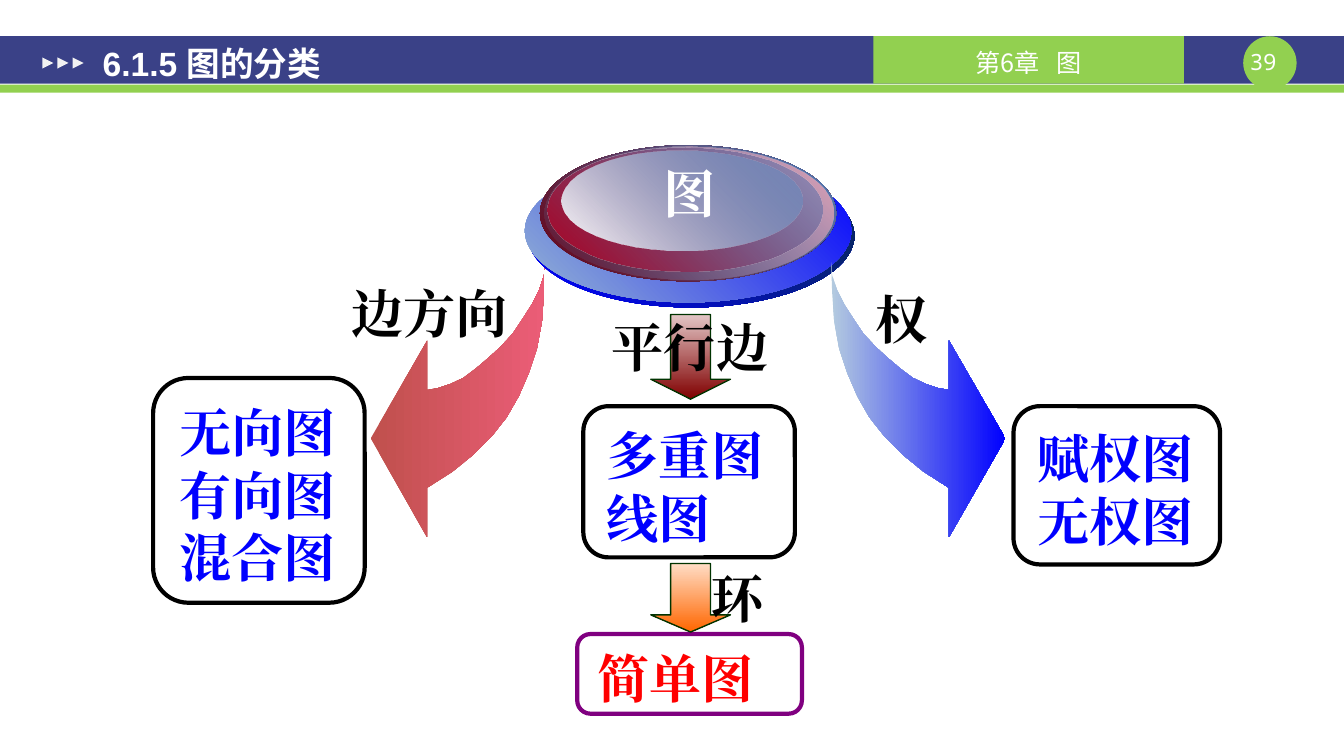
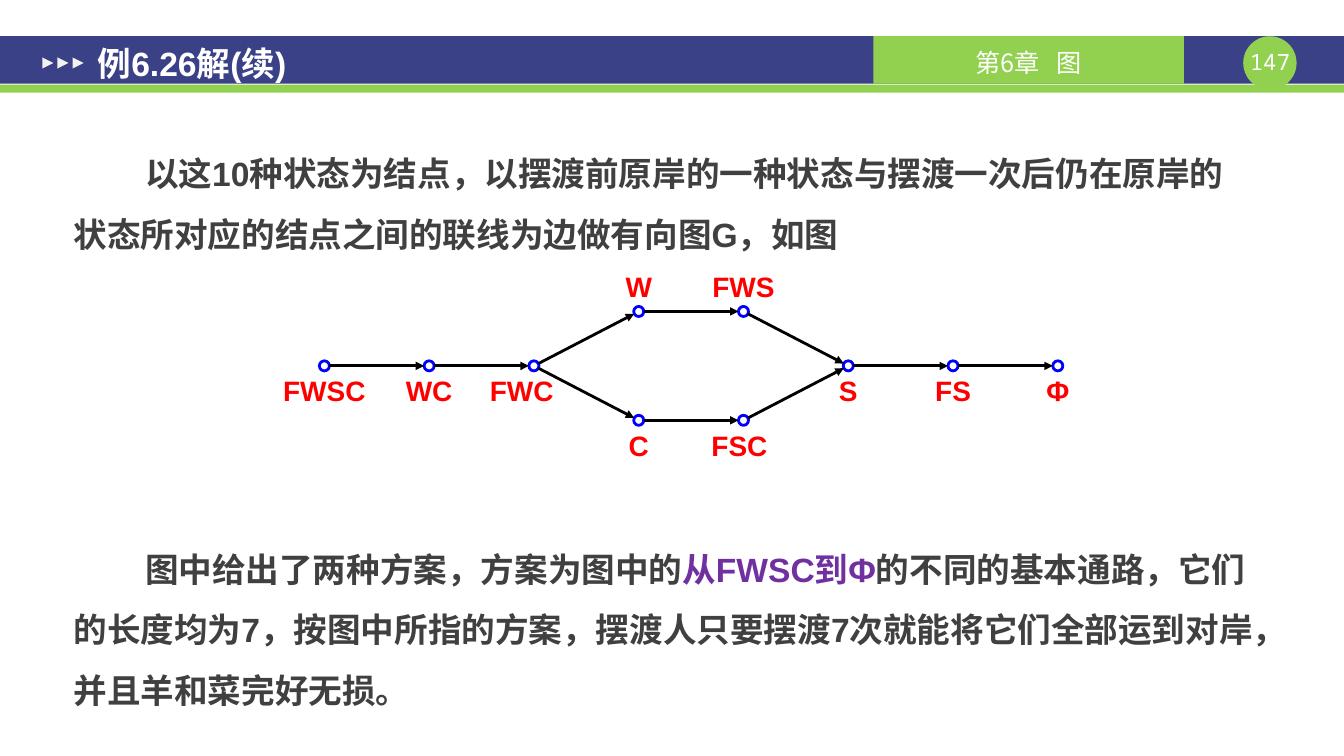
from dataclasses import dataclass
from math import hypot

from lxml import etree
from pptx import Presentation
from pptx.dml.color import RGBColor
from pptx.enum import shapes, text
from pptx.oxml import ns
from pptx.util import Inches, Pt

NAVY = RGBColor(0x3A, 0x41, 0x87)
GREEN = RGBColor(0x92, 0xD0, 0x50)
PALE = RGBColor(0xF2, 0xF2, 0xF2)
WHITE = RGBColor(0xFF, 0xFF, 0xFF)
BLACK = RGBColor(0, 0, 0)
BLUE = RGBColor(0, 0, 0xFF)
RED = RGBColor(0xFF, 0, 0)
GRAY = RGBColor(0x40, 0x40, 0x40)
VIOLET = RGBColor(0x70, 0x30, 0xA0)
PURPLE = RGBColor(0x80, 0, 0x80)
DARK_GREEN = RGBColor(0, 0x33, 0)
STEEL = RGBColor(0x4F, 0x81, 0xBD)
MIST = RGBColor(0xB4, 0xCB, 0xDF)
SKY = RGBColor(0x96, 0xB6, 0xD2)
DEEP_BLUE = RGBColor(0x09, 0x2C, 0x4B)
WINE = RGBColor(0x67, 0, 0x13)
CRIMSON = RGBColor(0xB1, 0, 0x20)
PINK = RGBColor(0xF4, 0xA6, 0xB4)
ROSE = RGBColor(0xEB, 0x5D, 0x77)
BRICK = RGBColor(0xC0, 0x50, 0x4D)
MAROON = RGBColor(0x80, 0, 0)
DUSTY = RGBColor(0xE3, 0xC6, 0xC6)
ORANGE = RGBColor(0xFF, 0x66, 0)
PEACH = RGBColor(0xFF, 0xDD, 0xC6)

SHAPE = shapes.MSO_SHAPE
LEFT, CENTER = text.PP_ALIGN.LEFT, text.PP_ALIGN.CENTER
TOP, MIDDLE = text.MSO_ANCHOR.TOP, text.MSO_ANCHOR.MIDDLE
SERIF, SANS, MONO, CJK = "Times New Roman", "Arial", "Noto Sans Mono", "Noto Sans CJK SC"
BIG = 37.3
PADDED = (0.13, 0.07, 0.13, 0.07)
NORMAL = (0.1, 0.05, 0.1, 0.05)
FLUSH = (0, 0, 0, 0)

Box = tuple[float, float, float, float]


@dataclass(frozen=True)
class Gradient:
    start: RGBColor
    end: RGBColor
    angle: float = 0  # counter-clockwise
    start_alpha: int = 100
    end_alpha: int = 100


@dataclass(frozen=True)
class Card:
    box: Box
    lines: tuple[str, ...]
    color: RGBColor = BLUE
    border: RGBColor = BLACK


@dataclass(frozen=True)
class Node:
    label: str
    column: int
    row: int  # -1 upper branch, 0 main path, 1 lower branch
    shift: float = 0


# Drawing helpers
def paint(shape, fill=None, line=None, width: float = 1) -> None:
    shape.shadow.inherit = False
    if fill is None:
        shape.fill.background()
    elif isinstance(fill, Gradient):
        shape.fill.gradient()
        shape.fill.gradient_angle = fill.angle
        ends = ((0, fill.start, fill.start_alpha), (1, fill.end, fill.end_alpha))
        for stop, (position, color, alpha) in zip(shape.fill.gradient_stops, ends):
            stop.position, stop.color.rgb = position, color
            if alpha < 100:
                tint = shape._element.spPr.findall(".//" + ns.qn("a:srgbClr"))[-1 if position else 0]
                etree.SubElement(tint, ns.qn("a:alpha"), val=str(alpha * 1000))
    else:
        shape.fill.solid()
        shape.fill.fore_color.rgb = fill
    if line is None:
        shape.line.fill.background()
    else:
        shape.line.color.rgb, shape.line.width = line, Pt(width)


def add_shape(slide, kind, box: Box, fill=None, line=None, width: float = 1):
    shape = slide.shapes.add_shape(kind, *map(Inches, box))
    paint(shape, fill, line, width)
    return shape


def write(frame, paragraphs, *, size: float, font: str = SERIF, color: RGBColor = BLACK,
          bold: bool = True, align=CENTER, anchor=TOP, insets: Box = NORMAL, wrap: bool = True,
          spacing: float | None = None, before: tuple[float, ...] = (), indent: float = 0) -> None:
    """Fill a frame; a paragraph is a string or a list of (text, color) runs."""
    frame.word_wrap, frame.vertical_anchor = wrap, anchor
    (frame.margin_left, frame.margin_top,
     frame.margin_right, frame.margin_bottom) = map(Inches, insets)
    for i, content in enumerate(paragraphs):
        paragraph = frame.paragraphs[0] if i == 0 else frame.add_paragraph()
        paragraph.alignment = align
        if spacing:
            paragraph.line_spacing = spacing
        if before:
            paragraph.space_before = Pt(before[i])
        if indent:
            paragraph._p.get_or_add_pPr().set("indent", str(Inches(indent)))
        for words, tone in [(content, color)] if isinstance(content, str) else content:
            run = paragraph.add_run()
            run.text = words
            run.font.name, run.font.size, run.font.bold = font, Pt(size), bold
            run.font.color.rgb = tone
            etree.SubElement(run.font._element, ns.qn("a:ea"), typeface=font)


def add_text(slide, box: Box, *paragraphs, **style) -> None:
    write(slide.shapes.add_textbox(*map(Inches, box)).text_frame, paragraphs, **style)


def add_arrow(slide, start: tuple[float, float], end: tuple[float, float]) -> None:
    arrow = slide.shapes.add_connector(shapes.MSO_CONNECTOR.STRAIGHT, *map(Inches, start + end))
    arrow.line.color.rgb, arrow.line.width = BLACK, Pt(2)
    etree.SubElement(arrow.line._get_or_add_ln(), ns.qn("a:tailEnd"), type="triangle")
    etree.SubElement(arrow._element.spPr, ns.qn("a:effectLst"))


# Shared header
def add_header(prs, title: str, title_left: float, number: int):
    slide = prs.slides.add_slide(prs.slide_layouts[6])
    add_shape(slide, SHAPE.RECTANGLE, (0, 0.36, 13.34, 0.47), NAVY)
    add_shape(slide, SHAPE.RECTANGLE, (0, 0.84, 13.34, 0.08), GREEN)
    add_shape(slide, SHAPE.OVAL, (12.34, 0.36, 0.53, 0.53), GREEN)
    add_text(slide, (12.34, 0.48, 0.53, 0.27), f"{number} ", size=16, font=MONO,
             color=WHITE, bold=False, insets=FLUSH)
    chapter = add_shape(slide, SHAPE.RECTANGLE, (8.67, 0.36, 3.08, 0.47), GREEN)
    write(chapter.text_frame, ["第6章   图"], size=18, font=CJK, color=WHITE, bold=False,
          anchor=MIDDLE, insets=(0.1, 0.04, 0.1, 0))
    for i in range(3):
        marker = add_shape(slide, SHAPE.ISOSCELES_TRIANGLE, (0.42 + 0.15 * i, 0.57, 0.11, 0.11), PALE)
        marker.rotation = 90
    add_text(slide, (title_left, 0.12, 7.7, 1.01), title, size=24, font=SANS, color=WHITE,
             align=LEFT, anchor=MIDDLE, insets=PADDED)
    return slide


# Slide 1: kinds of graph
CARDS = (
    Card((1.52, 3.75, 2.1, 2.23), ("无向图", "有向图", "混合图")),
    Card((10.06, 4.03, 2.05, 1.57), ("赋权图", "无权图")),
    Card((5.79, 4.03, 2.1, 1.5), ("多重图", "线图")),
    Card((5.73, 6.29, 2.23, 0.79), ("简单图",), RED, PURPLE),
)
DISC = (
    ((5.24, 1.63, 3.24, 1.42), Gradient(BLUE, DEEP_BLUE, 45)),
    ((5.21, 1.58, 3.24, 1.42), Gradient(SKY, BLUE, 45)),
    ((5.36, 1.44, 2.94, 1.35), Gradient(WINE, STEEL, 45)),
    ((5.4, 1.45, 2.87, 1.32), Gradient(STEEL, PINK, 45, start_alpha=0)),
    ((5.43, 1.46, 2.73, 1.23), Gradient(CRIMSON, STEEL, 45, end_alpha=48)),
    ((5.57, 1.49, 2.4, 1), Gradient(WHITE, STEEL, 45, end_alpha=38)),
)
DOWN_ARROWS = (
    ((6.46, 3.12, 0.79, 0.84), Gradient(DUSTY, MAROON, 270)),
    ((6.46, 5.59, 0.79, 0.68), Gradient(PEACH, ORANGE, 270)),
)
CRITERIA = (
    ("边方向", (3.33, 2.62, 1.87, 0.86)),
    ("权", (8.46, 2.68, 0.98, 0.86)),
    ("平行边", (5.91, 2.96, 1.88, 0.86)),
    ("环", (6.93, 5.44, 0.78, 0.86)),
)
# Swoosh outline as distances from its tail tip
SWOOSH = ((0, 0), (0.01, 0.3), (0.03, 0.59), (0.08, 0.86), (0.16, 1.1), (0.26, 1.33),
          (0.38, 1.54), (0.53, 1.73), (0.71, 1.91), (0.92, 2.08), (1.17, 2.24), (1.17, 2.73),
          (1.73, 1.75), (1.17, 0.78), (1.17, 1.27), (1.06, 1.25), (0.94, 1.21), (0.81, 1.15),
          (0.69, 1.06), (0.56, 0.95), (0.44, 0.84), (0.32, 0.71), (0.22, 0.56), (0.13, 0.42),
          (0.06, 0.28), (0.01, 0.13))


def add_swoosh(slide, tip_x: float, direction: int, fill: Gradient) -> None:
    points = [(Inches(tip_x + direction * x), Inches(2.6 + y)) for x, y in SWOOSH]
    outline = slide.shapes.build_freeform(*points[0])
    outline.add_line_segments(points[1:], close=True)
    paint(outline.convert_to_shape(), fill)


def build_kinds(prs) -> None:
    slide = add_header(prs, "6.1.5 图的分类", 0.89, 39)
    add_swoosh(slide, 5.41, -1, Gradient(BRICK, ROSE))
    for box, fill in DISC:
        add_shape(slide, SHAPE.OVAL, box, fill)
    add_text(slide, (6.48, 1.55, 0.73, 0.73), "图", size=BIG, color=WHITE, wrap=False)
    add_swoosh(slide, 8.25, 1, Gradient(MIST, BLUE))
    for card in CARDS:
        frame = add_shape(slide, SHAPE.ROUNDED_RECTANGLE, card.box, line=card.border, width=3)
        write(frame.text_frame, card.lines, size=BIG, color=card.color, align=LEFT,
              anchor=MIDDLE, insets=(0.16, 0.08, 0, 0))
    for box, fill in DOWN_ARROWS:
        arrow = add_shape(slide, SHAPE.DOWN_ARROW, box, fill, DARK_GREEN)
        arrow.adjustments[1] = 0.25
    for words, box in CRITERIA:
        add_text(slide, box, words, size=BIG, spacing=1.2, before=(7.5,))


# Slide 2: river-crossing graph
NODES = (
    Node("FWSC", 0, 0), Node("WC", 1, 0), Node("FWC", 2, 0, -0.12), Node("W", 3, -1),
    Node("FWS", 4, -1), Node("C", 3, 1), Node("FSC", 4, 1, -0.04), Node("S", 5, 0),
    Node("FS", 6, 0), Node("Φ", 7, 0),
)
ROUTES = (
    ("FWSC", "WC", "FWC", "W", "FWS", "S", "FS", "Φ"),
    ("FWC", "C", "FSC", "S"),
)
RADIUS = 0.05


def center(node: Node) -> tuple[float, float]:
    return 3.22 + 1.04 * node.column, 3.63 + 0.54 * node.row


def build_crossing(prs) -> None:
    slide = add_header(prs, "例6.26解(续)", 0.84, 147)
    add_text(
        slide, (0.6, 1.25, 11.99, 6),
        "以这10种状态为结点，以摆渡前原岸的一种状态与摆渡一次后仍在原岸的"
        "状态所对应的结点之间的联线为边做有向图G，如图",
        [("图中给出了两种方案，方案为图中的", GRAY), ("从FWSC到Φ", VIOLET),
         ("的不同的基本通路，它们的长度均为7，按图中所指的方案，摆渡人只要摆渡7次"
          "就能将它们全部运到对岸，并且羊和菜完好无损。", GRAY)],
        size=24, font=SANS, color=GRAY, align=LEFT, insets=PADDED, spacing=1.5,
        before=(4.8, 196), indent=0.71)
    for node in NODES:
        x, y = center(node)
        add_shape(slide, SHAPE.OVAL, (x - RADIUS, y - RADIUS, 2 * RADIUS, 2 * RADIUS), WHITE, BLUE, 2)
        label_top = y - 0.42 if node.row < 0 else y + 0.08
        add_text(slide, (x + node.shift - 0.52, label_top, 1.04, 0.48), node.label,
                 size=20, font=SANS, color=RED, insets=FLUSH)
    places = {node.label: center(node) for node in NODES}
    for route in ROUTES:
        for (x1, y1), (x2, y2) in zip(map(places.get, route), map(places.get, route[1:])):
            length = hypot(x2 - x1, y2 - y1)
            dx, dy = RADIUS * (x2 - x1) / length, RADIUS * (y2 - y1) / length
            add_arrow(slide, (x1 + dx, y1 + dy), (x2 - dx, y2 - dy))


def main() -> None:
    prs = Presentation()
    prs.slide_width, prs.slide_height = Inches(13.34), Inches(7.5)
    build_kinds(prs)
    build_crossing(prs)
    prs.save("out.pptx")


if __name__ == "__main__":
    main()
